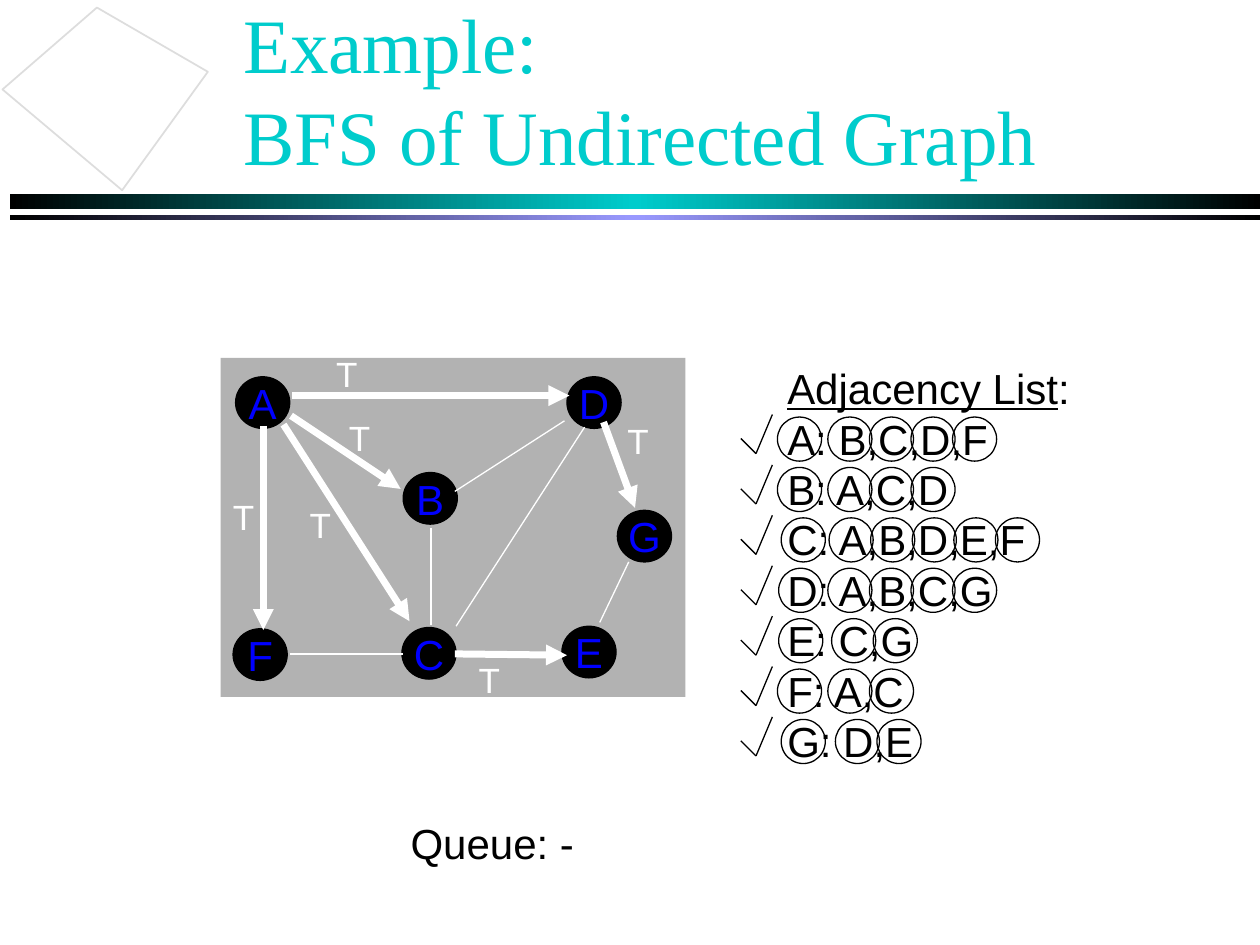
"""Build the slide on breadth-first search of an undirected graph."""
import copy

import pptx
import pptx.dml.color
import pptx.enum.shapes
import pptx.enum.text
import pptx.oxml
import pptx.oxml.ns
import pptx.util

COLOURS = {
    "black": "000000", "white": "FFFFFF", "teal": "00CCCC", "violet": "9999FF",
    "pale": "DDDDDD", "panel": "B2B2B2", "letter": "0000FF",
}
SHAPES = pptx.enum.shapes.MSO_SHAPE
ALIGN = pptx.enum.text.PP_ALIGN
ANCHOR = pptx.enum.text.MSO_ANCHOR
FIT = pptx.enum.text.MSO_AUTO_SIZE
NAMESPACE = 'xmlns:a="http://schemas.openxmlformats.org/drawingml/2006/main"'
BODY = {"name": "Arial", "size": pptx.util.Pt(24)}
LABEL = {**BODY, "size": pptx.util.Pt(20)}
TITLE = {"name": "Times New Roman", "size": pptx.util.Pt(44)}
GROWING = {"word_wrap": True, "auto_size": FIT.SHAPE_TO_FIT_TEXT}
UNWRAPPED = {**GROWING, "word_wrap": False}
CENTRED = {"word_wrap": False, "vertical_anchor": ANCHOR.MIDDLE}
TITLE_FRAME = {"word_wrap": True, "auto_size": FIT.NONE, "vertical_anchor": ANCHOR.MIDDLE}

NODE_SIZE = (4.3, 4.1)
NODES = {
    "A": (18.7, 29.9), "B": (32, 37.5), "C": (31.9, 49.8), "D": (45, 29.9),
    "E": (44.6, 49.7), "F": (18.5, 49.9), "G": (49, 40.5),
}
PLAIN_EDGES = [
    (46.4, 33.9, 36.2, 49.7), (23, 51.9, 32, 51.9), (36.1, 39, 44.8, 33.4),
    (34.2, 41.9, 34.2, 49.6), (49.9, 44.6, 47.6, 49.4),
]
TREE_EDGES = [
    ((23.1, 33, 31.8, 38.8), (26.7, 32.6)),
    ((22.5, 33.7, 32.5, 49.3), (23.6, 39.5)),
    ((23.2, 31.4, 45.2, 31.4), (25.7, 27.5)),
    ((20.9, 33.8, 20.9, 50), (17.5, 38.8)),
    ((36.1, 51.9, 45, 52), (37, 51.8)),
    ((47.9, 33.5, 50.4, 40.3), (48.8, 32.8)),
]
ADJACENCY = {
    "A": ("BCDF", 61.7, 65.7), "B": ("ACD", 61.7, 65.7), "C": ("ABDEF", 62, 65.8),
    "D": ("ABCG", 61.8, 65.7), "E": ("CG", 61.8, 66), "F": ("AC", 61.7, 65.7),
    "G": ("DE", 62, 66.3),
}
RING, RING_STEP, ROW_STEP = 3.5, 3.3, 4
FIRST_RING_TOP, FIRST_CHECK_BOTTOM, CHECK_LEFT = 33.1, 36, 58.8


def apply(target, values):
    """Set every attribute named in values on target."""
    for name, value in values.items():
        setattr(target, name, value)


def colour(name):
    """Return the named colour."""
    return pptx.dml.color.RGBColor.from_string(COLOURS[name])


class Canvas:
    """Draw on the current slide in a grid of 100 columns by 75 rows."""

    def __init__(self, presentation):
        """Add a title-only slide and derive the grid cell."""
        self.cell = presentation.slide_width / 100
        self.slide = presentation.slides.add_slide(presentation.slide_layouts[5])
        self.shapes = self.slide.shapes

    def grid(self, *cells):
        """Turn grid cells into lengths."""
        return [pptx.util.Emu(round(cell * self.cell)) for cell in cells]

    def letter(self, shape, paragraphs, frame, font, ink, align=ALIGN.LEFT):
        """Fill a shape with paragraphs of (text, underlined) runs."""
        apply(shape.text_frame, frame)
        for index, runs in enumerate(paragraphs):
            text_frame = shape.text_frame
            paragraph = text_frame.add_paragraph() if index else text_frame.paragraphs[0]
            paragraph.alignment = align
            for text, underlined in runs:
                run = paragraph.add_run()
                run.text = text
                apply(run.font, {**font, "underline": underlined})
                run.font.color.rgb = colour(ink)

    def title(self, lines, *box):
        """Place the title with a hard black shadow behind its letters."""
        shape = self.shapes.title
        apply(shape, dict(zip(("left", "top", "width", "height"), self.grid(*box))))
        self.letter(shape, [[(lines[0], False)]], TITLE_FRAME, TITLE, "teal")
        paragraph = shape.text_frame.paragraphs[0]
        paragraph.add_line_break()
        second = paragraph.add_run()
        second.text = lines[1]
        apply(second.font, TITLE)
        second.font.color.rgb = colour("teal")
        for run in paragraph.runs:
            shadow = pptx.oxml.parse_xml(
                f'<a:effectLst {NAMESPACE}><a:outerShdw dist="25400" dir="2700000">'
                f'<a:srgbClr val="{COLOURS["black"]}"/></a:outerShdw></a:effectLst>')
            properties = run._r.get_or_add_rPr()
            properties.find(pptx.oxml.ns.qn("a:solidFill")).addnext(shadow)

    def text(self, paragraphs, box, frame, font, ink):
        """Add a text box."""
        self.letter(self.shapes.add_textbox(*self.grid(*box)), paragraphs, frame, font, ink)

    def paint(self, shape, fill=None, line=None, width=0.75):
        """Set fill and outline, leaving out whichever has no colour."""
        shape.shadow.inherit = False
        if fill:
            shape.fill.solid()
            shape.fill.fore_color.rgb = colour(fill)
        else:
            shape.fill.background()
        if line:
            shape.line.color.rgb = colour(line)
            shape.line.width = pptx.util.Pt(width)
        else:
            shape.line.fill.background()
        return shape

    def shape(self, kind, box, **look):
        """Add a preset shape."""
        return self.paint(self.shapes.add_shape(kind, *self.grid(*box)), **look)

    def bar(self, middle, *box):
        """Add a bar that fades to black at both ends."""
        fill = self.shape(SHAPES.RECTANGLE, box).fill
        fill.gradient()
        fill.gradient_angle = 0
        first = fill.gradient_stops[0]._gs
        first.addnext(copy.deepcopy(first))
        for stop, ink, position in zip(fill.gradient_stops, ("black", middle, "black"), (0, 0.5, 1)):
            stop.color.rgb = colour(ink)
            stop.position = position

    def outline(self, points, **look):
        """Add a closed polygon."""
        corners = [self.grid(*point) for point in points]
        builder = self.shapes.build_freeform(*corners[0])
        builder.add_line_segments(corners[1:], close=True)
        self.paint(builder.convert_to_shape(), **look)

    def line(self, ends, ink, width=0.75, arrow=False):
        """Add a straight line, with an arrowhead at its end if asked."""
        connector = self.shapes.add_connector(
            pptx.enum.shapes.MSO_CONNECTOR.STRAIGHT, *self.grid(*ends))
        connector.line.color.rgb = colour(ink)
        connector.line.width = pptx.util.Pt(width)
        properties = connector._element.spPr
        if arrow:
            properties.find(pptx.oxml.ns.qn("a:ln")).append(
                pptx.oxml.parse_xml(f'<a:tailEnd {NAMESPACE} type="triangle"/>'))
        properties.append(pptx.oxml.parse_xml(f"<a:effectLst {NAMESPACE}/>"))

    def node(self, name, corner):
        """Add a lettered graph vertex."""
        shape = self.shape(SHAPES.OVAL, (*corner, *NODE_SIZE), fill="black", line="black")
        self.letter(shape, [[(name, False)]], CENTRED, BODY, "letter", ALIGN.CENTER)

    def visited_row(self, row, neighbours, key_left, first_left):
        """Ring each letter of a list row and tick the row."""
        top = FIRST_RING_TOP + row * ROW_STEP
        lefts = [key_left] + [first_left + i * RING_STEP for i in range(len(neighbours))]
        for left in lefts:
            self.shape(SHAPES.OVAL, (left, top, RING, RING), line="black")
        elbow = (CHECK_LEFT + 1.2, FIRST_CHECK_BOTTOM + row * ROW_STEP)
        self.line((elbow[0] - 1.2, elbow[1] - 1.2, *elbow), "black")
        self.line((*elbow, elbow[0] + 1.3, elbow[1] - 3.1), "black")


def main():
    """Compose the slide and save it."""
    presentation = pptx.Presentation()
    apply(presentation, {"slide_width": pptx.util.Inches(10), "slide_height": pptx.util.Inches(7.5)})
    canvas = Canvas(presentation)
    canvas.bar("teal", 0.8, 15.4, 99.2, 1.2)
    canvas.bar("violet", 0.8, 17.1, 99.2, 0.4)
    canvas.outline([(9.7, 15.1), (0.2, 7.1), (7.7, 0.6), (16.5, 5.7)],
                   fill="white", line="pale", width=1)
    canvas.title(("Example:", "BFS of Undirected Graph"), 18.3, 0.8, 81.7, 12.5)
    canvas.shape(SHAPES.RECTANGLE, (17.5, 28.4, 36.9, 26.9), fill="panel")
    rows = [[(f"{vertex}: {','.join(entry[0])}", False)] for vertex, entry in ADJACENCY.items()]
    canvas.text([[("Adjacency List", True), (":", False)], *rows],
                (61.5, 28.3, 24.4, 33), UNWRAPPED, BODY, "black")
    canvas.text([[("Queue: -", False)]], (31.6, 64.4, 28.2, 5), GROWING, BODY, "black")
    for name, corner in NODES.items():
        canvas.node(name, corner)
    for ends in PLAIN_EDGES:
        canvas.line(ends, "white")
    for ends, corner in TREE_EDGES:
        canvas.line(ends, "white", 4, arrow=True)
        canvas.text([[("T", False)]], (*corner, 4.8, 4.4), GROWING, LABEL, "white")
    for row, entry in enumerate(ADJACENCY.values()):
        canvas.visited_row(row, *entry)
    presentation.save("out.pptx")


if __name__ == "__main__":
    main()
